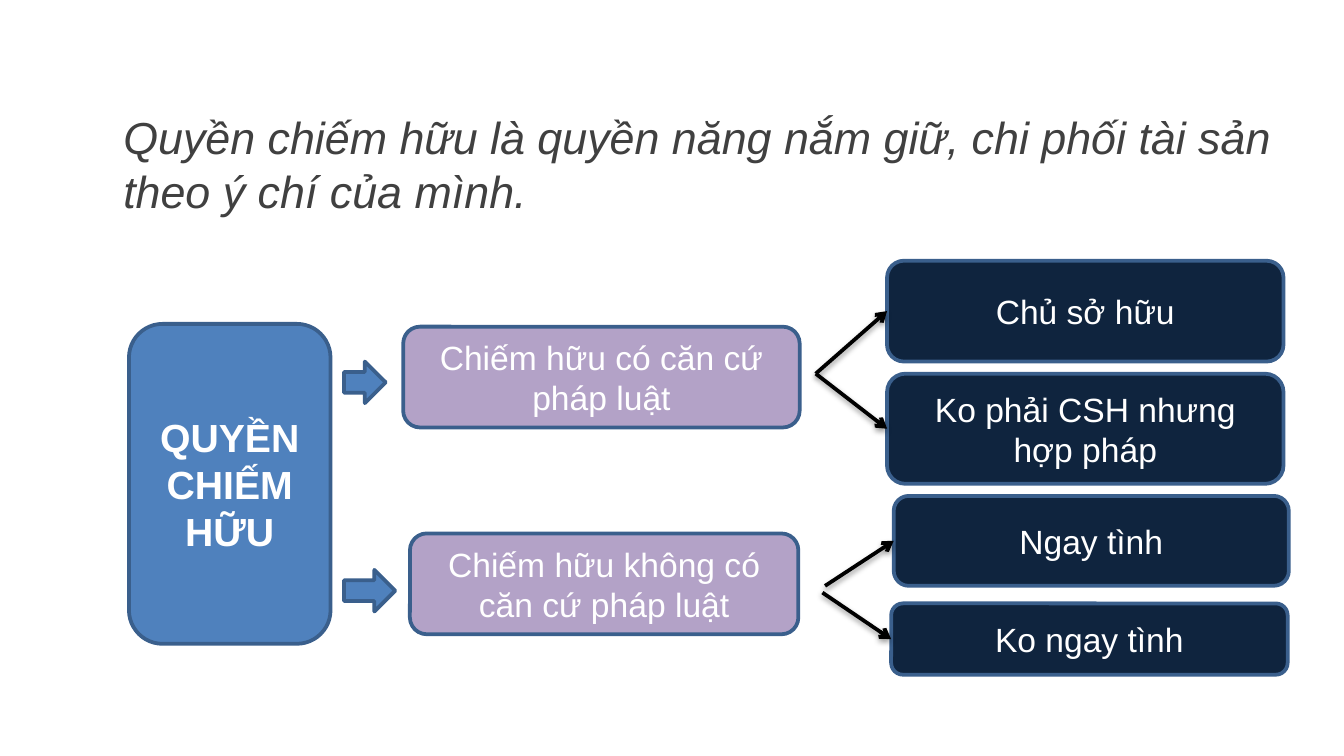
from dataclasses import dataclass

from lxml import etree
from pptx import Presentation
from pptx.dml.color import RGBColor
from pptx.enum.shapes import MSO_CONNECTOR, MSO_SHAPE
from pptx.enum.text import MSO_ANCHOR, PP_ALIGN
from pptx.oxml.ns import qn
from pptx.shapes.autoshape import Shape
from pptx.slide import Slide
from pptx.text.text import TextFrame
from pptx.util import Pt

ROUNDED = MSO_SHAPE.ROUNDED_RECTANGLE
RIGHT_ARROW = MSO_SHAPE.RIGHT_ARROW
STRAIGHT = MSO_CONNECTOR.STRAIGHT
TOP = MSO_ANCHOR.TOP
MIDDLE = MSO_ANCHOR.MIDDLE
LEFT = PP_ALIGN.LEFT
CENTER = PP_ALIGN.CENTER
LEFT_SIDE = 1


@dataclass(frozen=True)
class Theme:
    font: str = "Arial"
    blue: str = "4F81BD"
    outline: str = "3A5F8C"
    purple: str = "B3A2C7"
    navy: str = "0F243E"
    white: str = "FFFFFF"
    grey: str = "404040"
    black: str = "000000"
    title_size: float = 24
    root_size: float = 21
    body_size: float = 18
    line_width: float = 2


@dataclass(frozen=True)
class Area:
    left: float
    top: float
    width: float
    height: float


@dataclass(frozen=True)
class Leaf:
    text: str
    area: Area
    start: tuple[float, float]


@dataclass(frozen=True)
class Branch:
    text: str
    area: Area
    arrow: Area
    leaves: tuple[Leaf, ...]


THEME = Theme()
ROOT = Area(69.1, 173.5, 108, 171.4)
BRANCHES = (
    Branch("Chiếm hữu có căn cứ pháp luật",
           Area(216, 175, 212.4, 54), Area(184.3, 193.7, 22.3, 22.3),
           (Leaf("Chủ sở hữu", Area(475.2, 139.7, 212.4, 54), (437, 200.2)),
            Leaf("Ko phải CSH nhưng hợp pháp",
                 Area(475.2, 200.2, 212.4, 59), (437, 200.2)))),
    Branch("Chiếm hữu không có căn cứ pháp luật",
           Area(219.6, 285.8, 208.1, 54), Area(184.3, 305.3, 27.4, 22.3),
           (Leaf("Ngay tình", Area(478.8, 265.7, 211.7, 48.2), (442, 313.9)),
            Leaf("Ko ngay tình",
                 Area(477.4, 323.3, 212.4, 38.2), (440.6, 317.5)))),
)


def color(code: str) -> RGBColor:
    return RGBColor.from_string(code)


def write(frame: TextFrame, text: str, size: float, ink: str, align: PP_ALIGN,
          anchor: MSO_ANCHOR, bold: bool = False, italic: bool = False) -> None:
    frame.word_wrap = True
    frame.vertical_anchor = anchor
    para = frame.paragraphs[0]
    para.alignment = align
    span = para.add_run()
    span.text = text
    span.font.name = THEME.font
    span.font.size = Pt(size)
    span.font.bold = bold
    span.font.italic = italic
    span.font.color.rgb = color(ink)


def add_title(page: Slide, text: str) -> None:
    box = page.shapes.add_textbox(Pt(59), Pt(51.8), Pt(631.4), Pt(67.7))
    frame = box.text_frame
    frame.margin_left = frame.margin_right = Pt(7.2)
    frame.margin_top = frame.margin_bottom = Pt(7.2)
    write(frame, text, THEME.title_size, THEME.grey, LEFT, TOP, italic=True)


def add_block(page: Slide, kind: MSO_SHAPE, area: Area, fill: str) -> Shape:
    block = page.shapes.add_shape(kind, Pt(area.left), Pt(area.top),
                                  Pt(area.width), Pt(area.height))
    block.shadow.inherit = False
    block.fill.solid()
    block.fill.fore_color.rgb = color(fill)
    block.line.color.rgb = color(THEME.outline)
    block.line.width = Pt(THEME.line_width)
    return block


def add_label(page: Slide, text: str, area: Area, fill: str,
              size: float = THEME.body_size, bold: bool = False) -> Shape:
    box = add_block(page, ROUNDED, area, fill)
    write(box.text_frame, text, size, THEME.white, CENTER, MIDDLE, bold=bold)
    return box


def add_link(page: Slide, start: tuple[float, float], target: Shape) -> None:
    x, y = Pt(start[0]), Pt(start[1])
    link = page.shapes.add_connector(STRAIGHT, x, y, x, y)
    link.end_connect(target, LEFT_SIDE)
    link.line.color.rgb = color(THEME.black)
    link.line.width = Pt(THEME.line_width)
    properties = link._element.spPr
    etree.SubElement(properties.find(qn("a:ln")), qn("a:tailEnd"), type="arrow")
    effects = etree.SubElement(properties, qn("a:effectLst"))
    shadow = etree.SubElement(effects, qn("a:outerShdw"), blurRad=str(Pt(3.1)),
                              dist=str(Pt(1.6)), dir="5400000", rotWithShape="0")
    tint = etree.SubElement(shadow, qn("a:srgbClr"), val=THEME.black)
    etree.SubElement(tint, qn("a:alpha"), val="38000")


def add_branch(page: Slide, branch: Branch) -> None:
    add_label(page, branch.text, branch.area, THEME.purple)
    add_block(page, RIGHT_ARROW, branch.arrow, THEME.blue)
    for leaf in branch.leaves:
        box = add_label(page, leaf.text, leaf.area, THEME.navy)
        add_link(page, leaf.start, box)


def main() -> None:
    deck = Presentation()
    deck.slide_width, deck.slide_height = Pt(720), Pt(405)
    page = deck.slides.add_slide(deck.slide_layouts[6])
    add_title(page, "Quyền chiếm hữu là quyền năng nắm giữ, "
                    "chi phối tài sản theo ý chí của mình.")
    add_label(page, "QUYỀN CHIẾM HỮU", ROOT, THEME.blue, THEME.root_size, bold=True)
    for branch in BRANCHES:
        add_branch(page, branch)
    deck.save("out.pptx")


if __name__ == "__main__":
    main()
